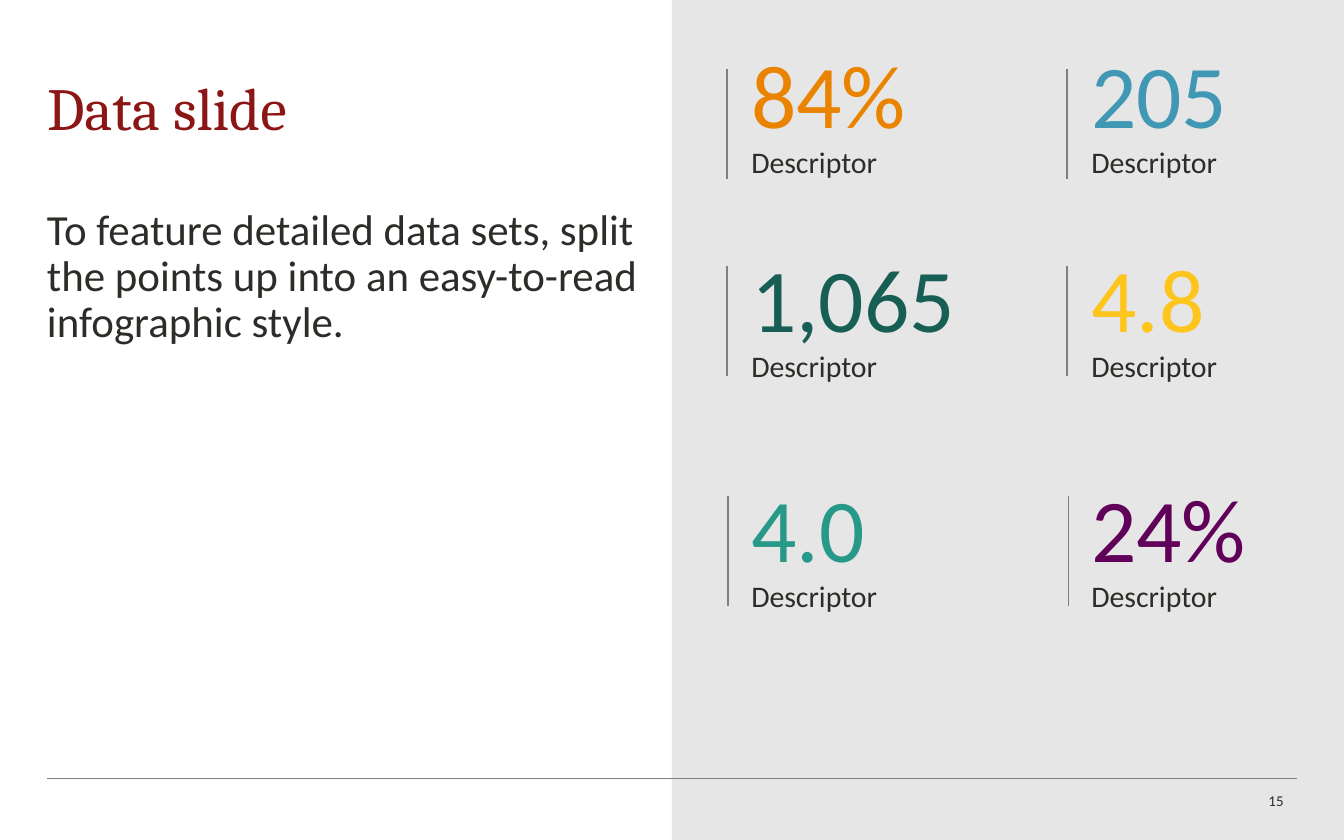
from lxml import etree
from pptx import Presentation
from pptx.dml.color import RGBColor as RGB
from pptx.enum.shapes import MSO_CONNECTOR as Conn, MSO_SHAPE as Shape
from pptx.enum.text import MSO_ANCHOR as Anchor, MSO_AUTO_SIZE as Fit, PP_ALIGN as Align
from pptx.oxml.ns import qn
from pptx.util import Inches, Pt

RED = RGB(0x8C, 0x15, 0x15)
INK = RGB(0x2E, 0x2C, 0x28)
PALE = RGB(0xE7, 0xE6, 0xE6)
GREY = RGB(0x80, 0x80, 0x80)
ORANGE = RGB(0xE9, 0x83, 0x00)
SKY = RGB(0x41, 0x98, 0xB5)
PINE = RGB(0x17, 0x5E, 0x54)
GOLD = RGB(0xFE, 0xC5, 0x1D)
TEAL = RGB(0x27, 0x99, 0x89)
PLUM = RGB(0x61, 0x00, 0x59)

# Text formats
HEAD = {"name": "Cambria", "size": Pt(32), "bold": False}
BODY = {"name": "Calibri", "size": Pt(23)}
STAT = {"name": "Calibri", "size": Pt(48)}
LABEL = {"name": "Calibri", "size": Pt(16)}
PAGE = {"name": "Calibri", "size": Pt(8)}

# Grid of figures: column lefts, then top of box, top of rule and rule offset
COLS = (5.59, 8.12)
ROWS = ((0.33, 0.51, 0.18), (1.85, 1.98, 0.18), (3.56, 3.69, 0.17))
STATS = (
    (("84%", ORANGE), ("205", SKY)),
    (("1,065", PINE), ("4.8", GOLD)),
    (("4.0", TEAL), ("24%", PLUM)),
)


def write(shape, lines, anchor=Anchor.TOP, align=Align.LEFT, space=0.9, side=0):
    frame = shape.text_frame
    form = {"word_wrap": True, "auto_size": Fit.NONE, "vertical_anchor": anchor,
            "margin_left": Inches(side), "margin_right": Inches(side),
            "margin_top": Inches(0.05), "margin_bottom": Inches(0.05)}
    for key, val in form.items():
        setattr(frame, key, val)
    for num, (text, font, color) in enumerate(lines):
        para = frame.add_paragraph() if num else frame.paragraphs[0]
        para.text = text
        para.alignment = align
        para.line_spacing = space
        para.space_before = Pt(0)
        for key, val in font.items():
            setattr(para.font, key, val)
        para.font.color.rgb = color


def add_text(slide, box, lines, **form):
    write(slide.shapes.add_textbox(*map(Inches, box)), lines, **form)


def add_rule(slide, start, end, width):
    rule = slide.shapes.add_connector(Conn.STRAIGHT, *map(Inches, start + end))
    rule.line.color.rgb = GREY
    rule.line.width = Pt(width)
    etree.SubElement(rule.element.spPr, qn("a:effectLst"))


def add_panel(slide, box):
    panel = slide.shapes.add_shape(Shape.RECTANGLE, *map(Inches, box))
    panel.shadow.inherit = False
    panel.fill.solid()
    panel.fill.fore_color.rgb = PALE
    panel.line.fill.background()


def add_intro(slide, box):
    left, top, width, height = box
    title = slide.shapes.title
    form = {"left": left, "top": top, "width": width, "height": 1}
    for key, val in form.items():
        setattr(title, key, Inches(val))
    write(title, [("Data slide", HEAD, RED)], anchor=Anchor.MIDDLE)
    text = ("To feature detailed data sets, split the points up "
            "into an easy-to-read infographic style.")
    add_text(slide, (left, top + 1.17, width, height - 1.17), [(text, BODY, INK)])


def add_stat(slide, box, value, color, rule, shift):
    add_text(slide, box, [(value, STAT, color), ("Descriptor", LABEL, INK)])
    x = box[0] - shift
    add_rule(slide, (x, rule), (x, rule + 0.82), 1)


def add_foot(slide, box):
    left, top, width, height = box
    right = left + width
    add_rule(slide, (left, top), (right, top), 0.25)
    add_text(slide, (right - 2.25, top, 2.25, height), [("15", PAGE, INK)],
             anchor=Anchor.MIDDLE, align=Align.RIGHT, space=1, side=0.1)


def main():
    deck = Presentation()
    deck.slide_width, deck.slide_height = Inches(10), Inches(6.25)
    slide = deck.slides.add_slide(deck.slide_layouts[5])

    # Right half, left half, figures, footer
    add_panel(slide, (5, 0, 5, 6.25))
    add_intro(slide, (0.35, 0.33, 4.4, 5.3))
    for (top, rule, shift), row in zip(ROWS, STATS):
        for left, (value, color) in zip(COLS, row):
            add_stat(slide, (left, top, 1.53, 1.07), value, color, rule, shift)
    add_foot(slide, (0.35, 5.79, 9.3, 0.33))

    deck.save("out.pptx")


if __name__ == "__main__":
    main()
